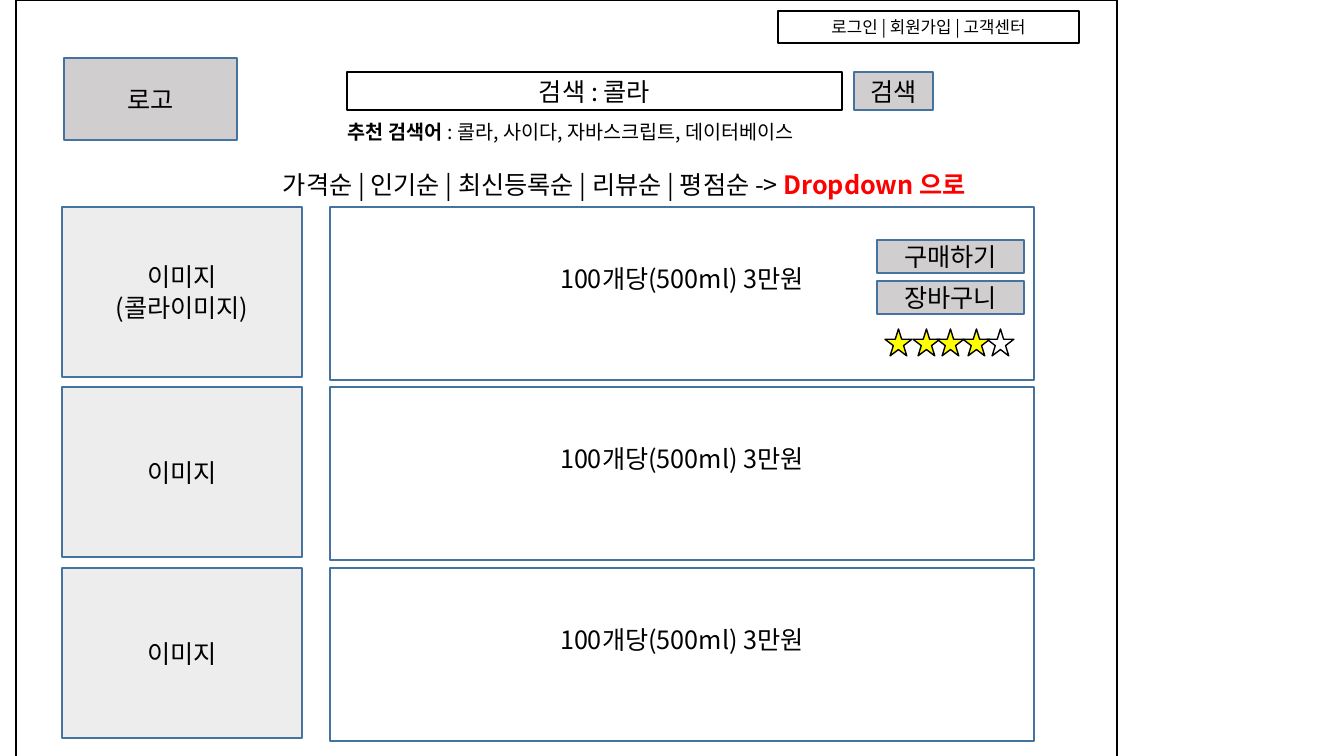
from lxml import etree
from pptx import Presentation
from pptx import util as u
from pptx.dml import color
from pptx.enum import shapes, text
from pptx.oxml import ns

PX = 12192000 / 1344
FONT = "Noto Sans CJK KR"
COLORS = {
    "ink": "000000",
    "edge": "43739E",
    "button": "D0CECE",
    "thumbnail": "EDEDED",
    "star": "FFFF00",
    "empty_star": "FFFFFF",
    "note": "FF0000",
}


def px(*lengths):
    return [u.Emu(round(length * PX)) for length in lengths]


def rgb(name):
    return color.RGBColor.from_string(COLORS[name])


def add_run(paragraph, words, size, ink="ink", bold=False):
    run = paragraph.add_run()
    run.text = words
    run.font.size = u.Pt(size)
    run.font.bold = bold
    run.font.name = FONT
    run.font.color.rgb = rgb(ink)
    etree.SubElement(run._r.get_or_add_rPr(), ns.qn("a:ea"), typeface=FONT)


def add_preset(parent, kind, box, fill=None, line="ink"):
    outline = parent.add_shape(kind, *px(*box))
    outline.shadow.inherit = False
    if fill:
        outline.fill.solid()
        outline.fill.fore_color.rgb = rgb(fill)
    else:
        outline.fill.background()
    outline.line.color.rgb = rgb(line)
    outline.line.width = u.Pt(1)
    return outline


def add_box(slide, box, lines=(), fill=None, line="ink", size=18, lift=0):
    panel = add_preset(slide.shapes, shapes.MSO_SHAPE.RECTANGLE, box, fill, line)
    frame = panel.text_frame
    frame.vertical_anchor = text.MSO_ANCHOR.MIDDLE
    frame.margin_bottom += px(lift)[0]
    for index, words in enumerate(lines):
        paragraph = frame.add_paragraph() if index else frame.paragraphs[0]
        paragraph.alignment = text.PP_ALIGN.CENTER
        add_run(paragraph, words, size)


def add_button(slide, box, label):
    add_box(slide, box, [label], "button", "edge")


def add_caption(slide, box, size, runs):
    frame = slide.shapes.add_textbox(*px(*box)).text_frame
    frame.word_wrap = False
    frame.auto_size = text.MSO_AUTO_SIZE.SHAPE_TO_FIT_TEXT
    for words, ink, bold in runs:
        add_run(frame.paragraphs[0], words, size, ink, bold)


def add_product(slide, top, image_lines):
    add_box(slide, (62, top, 240, 170), image_lines, "thumbnail", "edge")
    add_box(slide, (330, top, 704, 173), ["100개당(500ml) 3만원"],
            line="edge", lift=30)


def add_rating(slide, lefts, top, score):
    rating = slide.shapes.add_group_shape()
    for index, left in enumerate(lefts):
        fill = "star" if index < score else "empty_star"
        add_preset(rating.shapes, shapes.MSO_SHAPE.STAR_5_POINT,
                   (left, top, 27, 27), fill)


def main():
    deck = Presentation()
    deck.slide_width, deck.slide_height = px(1344, 756)
    slide = deck.slides.add_slide(deck.slide_layouts[6])

    add_box(slide, (16, 0, 1101, 761))
    add_button(slide, (64, 58, 173, 82), "로고")
    add_box(slide, (347, 72, 495, 38), ["검색 : 콜라"])
    add_caption(slide, (338, 115, 515, 34), 14, [
        ("추천 검색어 ", "ink", True),
        (": 콜라, 사이다, 자바스크립트, 데이터베이스", "ink", False),
    ])
    add_button(slide, (854, 72, 79, 38), "검색")
    add_box(slide, (778, 11, 301, 32), ["로그인 | 회원가입 | 고객센터"], size=12)

    products = [["이미지", "(콜라이미지)"], ["이미지"], ["이미지"]]
    for index, image_lines in enumerate(products):
        add_product(slide, 207 + index * 361 // 2, image_lines)

    for index, label in enumerate(["구매하기", "장바구니"]):
        add_button(slide, (877, 240 + index * 41, 147, 33), label)
    add_rating(slide, [885, 913, 937, 963, 987], 329, 4)

    add_caption(slide, (273, 164, 786, 40), 18, [
        ("가격순 | 인기순 | 최신등록순 | 리뷰순 | 평점순 -> ", "ink", False),
        ("Dropdown 으로", "note", True),
    ])
    deck.save("out.pptx")


main()
